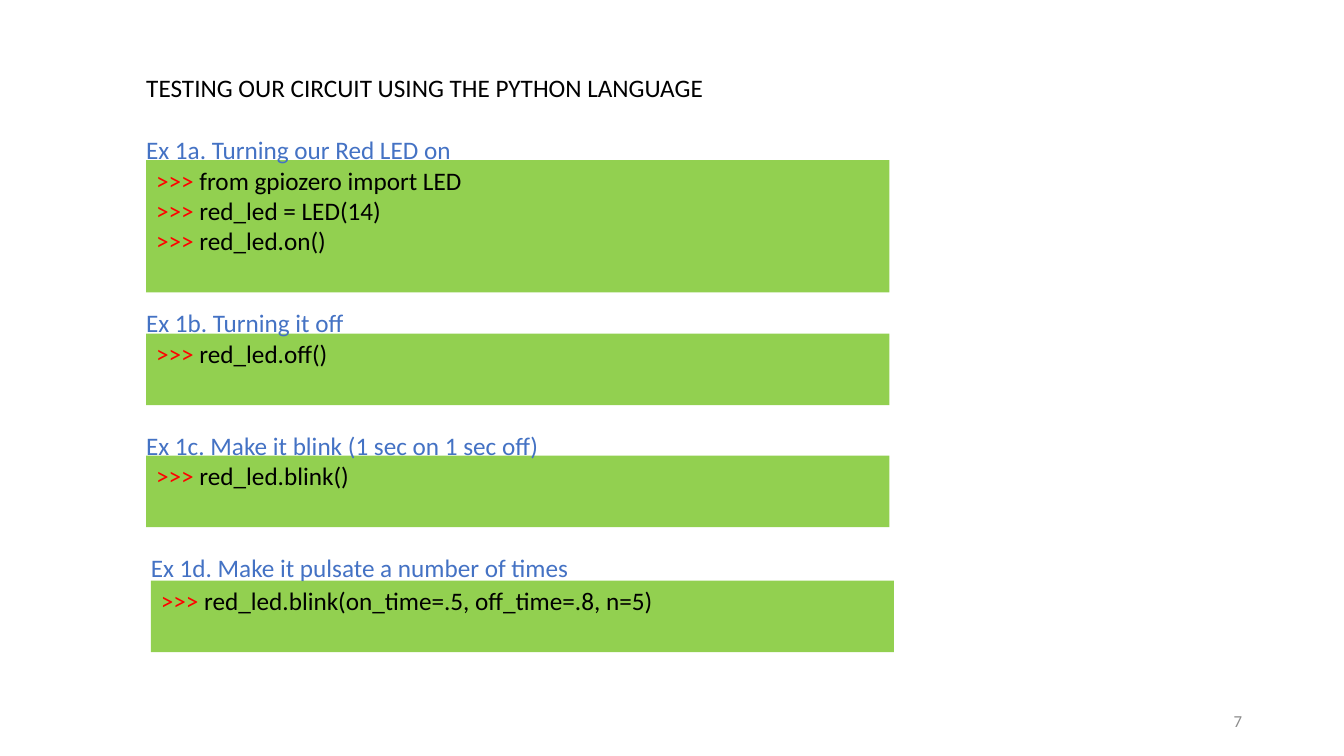
from dataclasses import dataclass

from pptx import Presentation
from pptx.dml.color import RGBColor
from pptx.enum.shapes import MSO_SHAPE
from pptx.enum.text import MSO_ANCHOR, MSO_AUTO_SIZE, PP_ALIGN
from pptx.util import Inches, Pt

RECTANGLE = MSO_SHAPE.RECTANGLE
TOP, MIDDLE = MSO_ANCHOR.TOP, MSO_ANCHOR.MIDDLE
LEFT, RIGHT = PP_ALIGN.LEFT, PP_ALIGN.RIGHT
NO_RESIZE = MSO_AUTO_SIZE.NONE
TITLE_ONLY = 5


@dataclass(frozen=True)
class Theme:
    font: str = "Calibri"
    text_size: int = 18
    number_size: int = 12
    text: str = "000000"
    heading: str = "4472C4"
    prompt: str = "FF0000"
    code_fill: str = "92D050"
    number: str = "8C8C8C"


THEME = Theme()

presentation = Presentation()
presentation.slide_width = Inches(13.33)
presentation.slide_height = Inches(7.5)
COLUMN = presentation.slide_width / 100
ROW = presentation.slide_height / 100


def grid_box(left, top, width, height):
    """Turn percentages of the slide into lengths."""
    return int(left * COLUMN), int(top * ROW), int(width * COLUMN), int(height * ROW)


def write(shape, lines, size=THEME.text_size, align=LEFT, anchor=TOP, wrap=True):
    """Fill a shape with lines, each a list of (text, colour) runs."""
    frame = shape.text_frame
    frame.word_wrap = wrap
    frame.auto_size = NO_RESIZE
    frame.vertical_anchor = anchor
    for index, runs in enumerate(lines):
        paragraph = frame.add_paragraph() if index else frame.paragraphs[0]
        paragraph.alignment = align
        for text, color in runs:
            run = paragraph.add_run()
            run.text = text
            run.font.name = THEME.font
            run.font.size = Pt(size)
            run.font.color.rgb = RGBColor.from_string(color)


TEXT_LEFT, CODE_LEFT, CODE_WIDTH = 10.13, 10.88, 55.29
TEXT_HEIGHT, LINE_HEIGHT, CODE_PADDING = 5.33, 4, 1.47

slide = presentation.slides.add_slide(presentation.slide_layouts[TITLE_ONLY])
title = slide.shapes.title
title.left, title.top, title.width, title.height = grid_box(
    TEXT_LEFT, 8.93, 43.36, TEXT_HEIGHT)
write(title, [[("TESTING OUR CIRCUIT USING THE PYTHON LANGUAGE", THEME.text)]], wrap=False)

# Heading, heading top, code top, shift to the right, code lines
examples = [
    ("Ex 1a. Turning our Red LED on", 17.07, 21.2, 0,
     ["from gpiozero import LED", "red_led = LED(14)", "red_led.on()"]),
    ("Ex 1b. Turning it off", 40, 44.13, 0, ["red_led.off()"]),
    ("Ex 1c. Make it blink (1 sec on 1 sec off)", 56.27, 60.27, 0, ["red_led.blink()"]),
    ("Ex 1d. Make it pulsate a number of times", 72.4, 76.8, 0.35,
     ["red_led.blink(on_time=.5, off_time=.8, n=5)"]),
]

for heading, heading_top, code_top, shift, code_lines in examples:
    code_height = CODE_PADDING + LINE_HEIGHT * (len(code_lines) + 1)
    code = slide.shapes.add_shape(
        RECTANGLE, *grid_box(CODE_LEFT + shift, code_top, CODE_WIDTH, code_height))
    code.shadow.inherit = False
    code.fill.solid()
    code.fill.fore_color.rgb = RGBColor.from_string(THEME.code_fill)
    code.line.fill.background()
    write(code, [[(">>> ", THEME.prompt), (line, THEME.text)] for line in code_lines])

    label = slide.shapes.add_textbox(
        *grid_box(TEXT_LEFT + shift, heading_top, 39, TEXT_HEIGHT))
    write(label, [[(heading, THEME.heading)]])

slide_number = slide.shapes.add_textbox(*grid_box(70.67, 92.67, 22.5, TEXT_HEIGHT))
write(slide_number, [[("7", THEME.number)]],
      size=THEME.number_size, align=RIGHT, anchor=MIDDLE)

presentation.save("out.pptx")
